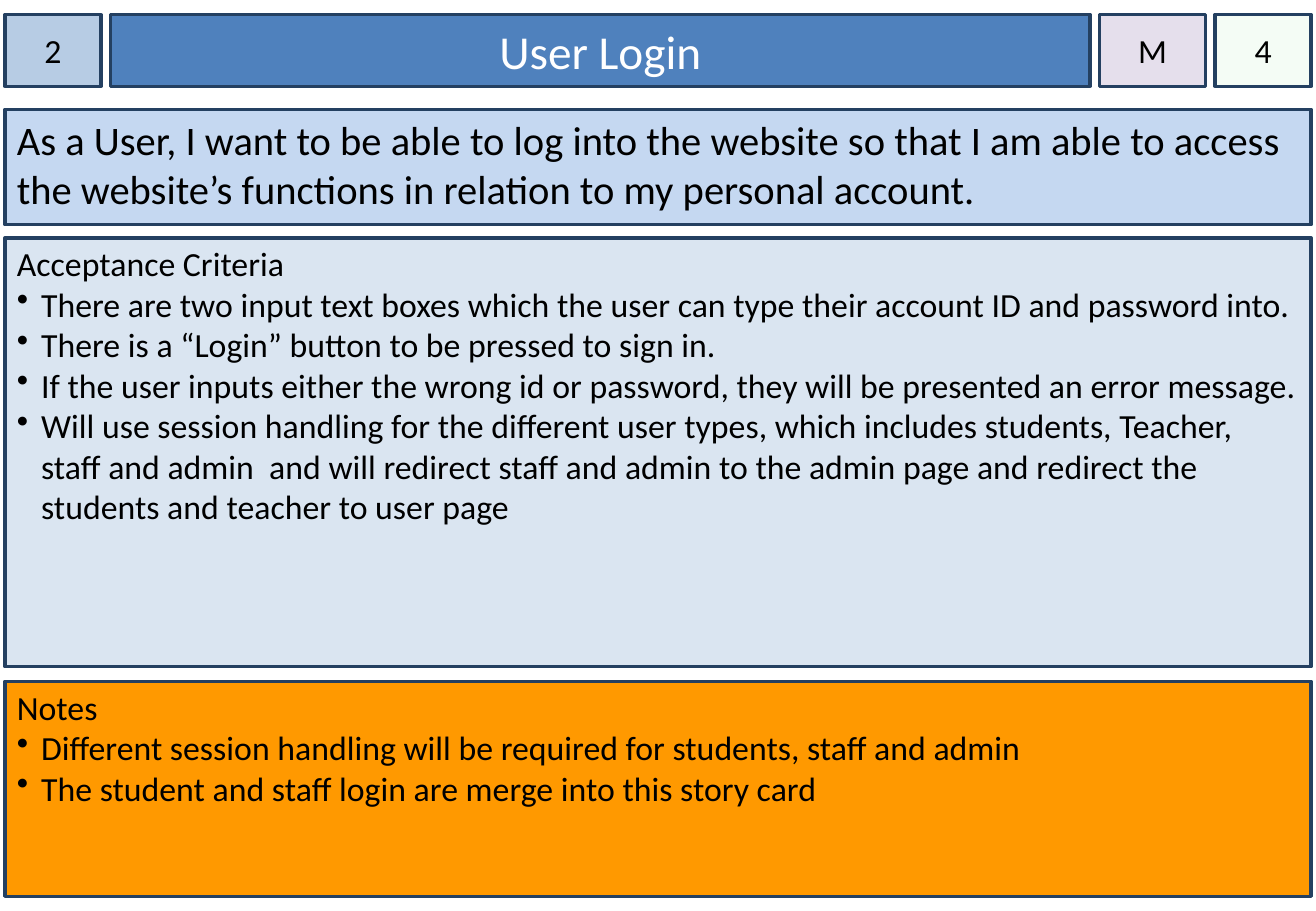
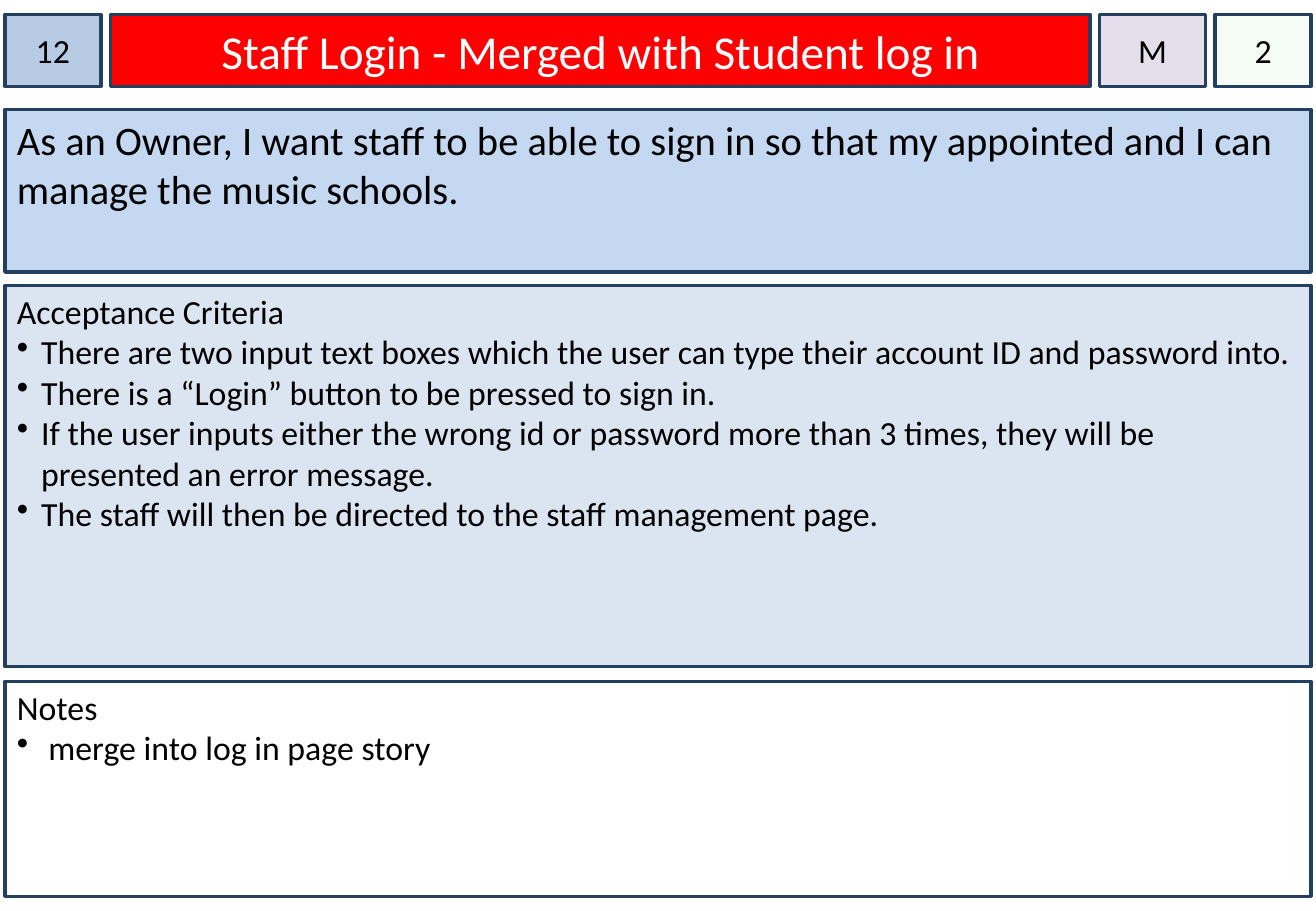
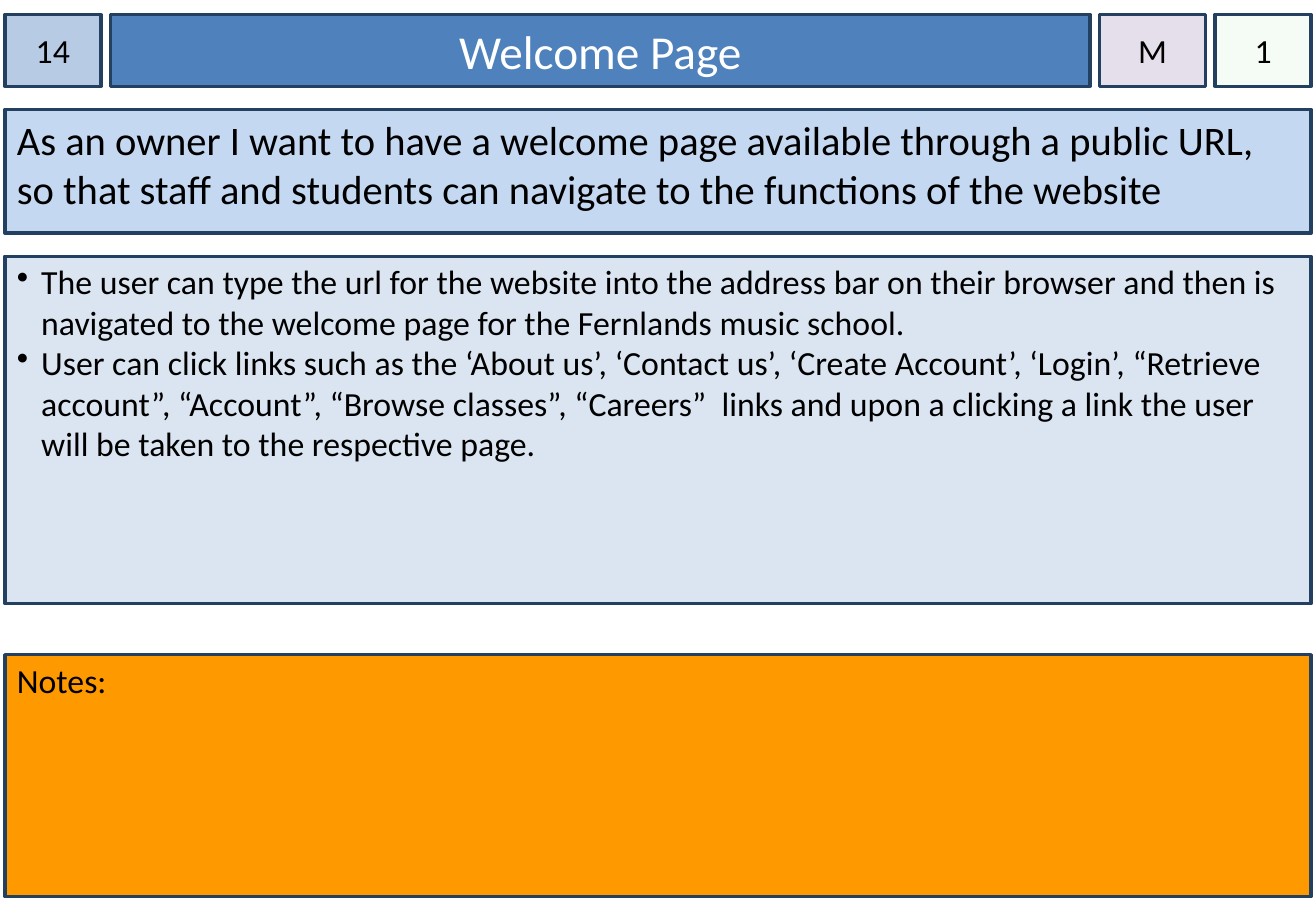
"""Build three user story cards that share one header, story, criteria and remarks design."""
from dataclasses import dataclass
from itertools import accumulate

from lxml.etree import SubElement
from pptx import Presentation
from pptx.dml.color import RGBColor
from pptx.enum.shapes import MSO_SHAPE
from pptx.enum.text import MSO_ANCHOR, MSO_AUTO_SIZE, PP_ALIGN
from pptx.oxml.ns import qn
from pptx.util import Inches, Pt

COLORS = {
    "border": "244061",
    "text": "000000",
    "title_text": "FFFFFF",
    "open": "4F81BD",
    "merged": "FF0000",
    "number": "B7CCE4",
    "priority": "E5DFEC",
    "estimate": "CCF0CD",
    "story": "C5D8F1",
    "criteria": "DAE5F1",
    "remarks": "FF9900",
    "plain_remarks": "FFFFFF",
}
FONT = "Calibri"
SLIDE_WIDTH, SLIDE_HEIGHT = 10.83, 7.5
MARGIN, GAP = 0.04, 0.08
CARD_WIDTH = SLIDE_WIDTH - 2 * MARGIN
HEADER_TOP, HEADER_HEIGHT = 0.12, 0.59
STORY_TOP, REMARKS_BOTTOM = 0.9, 7.38
NUMBER_WIDTH, PRIORITY_WIDTH = 0.79, 0.87
TITLE_WIDTH = CARD_WIDTH - 2 * NUMBER_WIDTH - PRIORITY_WIDTH - 3 * GAP
HEADER_WIDTHS = [NUMBER_WIDTH, TITLE_WIDTH, PRIORITY_WIDTH, NUMBER_WIDTH]
HEADER_LEFTS = list(accumulate((w + GAP for w in HEADER_WIDTHS[:-1]), initial=MARGIN))


@dataclass
class StoryCard:
    """The wording of one card and the edges of its rows."""
    number: str
    title: str
    estimate: str
    story: str
    criteria: list
    remarks: list
    story_bottom: float
    criteria_top: float
    criteria_bottom: float = 5.49
    remarks_top: float = 5.61
    criteria_heading: str = "Acceptance Criteria"
    remarks_heading: str = "Notes"
    title_fill: str = "open"
    remarks_fill: str = "remarks"
    remarks_indent: float = 0.2


CARDS = [
    StoryCard(
        number="2",
        title="User Login",
        estimate="4",
        story="As a User, I want to be able to log into the website so that I am able to access "
              "the website’s functions in relation to my personal account.",
        criteria=[
            "There are two input text boxes which the user can type their account ID and password into.",
            "There is a “Login” button to be pressed to sign in.",
            "If the user inputs either the wrong id or password, they will be presented an error message.",
            "Will use session handling for the different user types, which includes students, Teacher, "
            "staff and admin  and will redirect staff and admin to the admin page and redirect the "
            "students and teacher to user page",
        ],
        remarks=[
            "Different session handling will be required for students, staff and admin",
            "The student and staff login are merge into this story card",
        ],
        story_bottom=1.85,
        criteria_top=1.96,
    ),
    StoryCard(
        number="12",
        title="Staff Login - Merged with Student log in",
        estimate="2",
        story="As an Owner, I want staff to be able to sign in so that my appointed and I can "
              "manage the music schools.",
        criteria=[
            "There are two input text boxes which the user can type their account ID and password into.",
            "There is a “Login” button to be pressed to sign in.",
            "If the user inputs either the wrong id or password more than 3 times, they will be "
            "presented an error message.",
            "The staff will then be directed to the staff management page.",
        ],
        remarks=["merge into log in page story"],
        story_bottom=2.24,
        criteria_top=2.35,
        title_fill="merged",
        remarks_fill="plain_remarks",
        remarks_indent=0.26,
    ),
    StoryCard(
        number="14",
        title="Welcome Page",
        estimate="1",
        story="As an owner I want to have a welcome page available through a public URL, so that "
              "staff and students can navigate to the functions of the website",
        criteria=[
            "The user can type the url for the website into the address bar on their browser and then is "
            "navigated to the welcome page for the Fernlands music school.",
            "User can click links such as the ‘About us’, ‘Contact us’, ‘Create Account’, ‘Login’, "
            "“Retrieve account”, “Account”, “Browse classes”, “Careers”  links and upon a clicking a "
            "link the user will be taken to the respective page.",
        ],
        remarks=[],
        story_bottom=1.92,
        criteria_top=2.11,
        criteria_bottom=4.97,
        remarks_top=5.39,
        criteria_heading="",
        remarks_heading="Notes:",
    ),
]


def rgb(name):
    """Return the named colour."""
    return RGBColor.from_string(COLORS[name])


def style_panel(panel, fill, side_inset=0.1, top_inset=0.05, anchor=MSO_ANCHOR.TOP):
    """Give a panel its fill, border and text margins."""
    panel.fill.solid()
    panel.fill.fore_color.rgb = rgb(fill)
    panel.line.color.rgb = rgb("border")
    panel.line.width = Pt(2)
    frame = panel.text_frame
    frame.word_wrap = True
    frame.auto_size = MSO_AUTO_SIZE.NONE
    frame.vertical_anchor = anchor
    frame.margin_left = frame.margin_right = Inches(side_inset)
    frame.margin_top, frame.margin_bottom = Inches(top_inset), Inches(0.05)


def add_panel(slide, left, top, width, height, fill, **style):
    """Add a bordered rectangle."""
    panel = slide.shapes.add_shape(
        MSO_SHAPE.RECTANGLE, Inches(left), Inches(top), Inches(width), Inches(height))
    panel.shadow.inherit = False
    style_panel(panel, fill, **style)
    return panel


def write(paragraph, text, size, color="text", align=PP_ALIGN.LEFT):
    """Fill a paragraph with text in the shared font."""
    paragraph.text = text
    paragraph.alignment = align
    paragraph.font.name = FONT
    paragraph.font.size = Pt(size)
    paragraph.font.color.rgb = rgb(color)


def add_bullet(paragraph, indent):
    """Put a bullet on a paragraph with a hanging indent."""
    properties = paragraph._p.get_or_add_pPr()
    properties.set("marL", str(Inches(indent)))
    properties.set("indent", str(-Inches(indent)))
    bullet_color = SubElement(properties, qn("a:buClr"))
    SubElement(bullet_color, qn("a:srgbClr"), val=COLORS["text"])
    SubElement(properties, qn("a:buChar"), char="•")


def add_header_cell(slide, column, text, fill):
    """Add a small centred cell in a header column."""
    cell = add_panel(slide, HEADER_LEFTS[column], HEADER_TOP, HEADER_WIDTHS[column],
                     HEADER_HEIGHT, fill, side_inset=0, anchor=MSO_ANCHOR.MIDDLE)
    write(cell.text_frame.paragraphs[0], text, 20, align=PP_ALIGN.CENTER)
    return cell


def place_title(slide, text, fill):
    """Turn the title placeholder into the header band."""
    title = slide.shapes.title
    title.left, title.top = Inches(HEADER_LEFTS[1]), Inches(HEADER_TOP)
    title.width, title.height = Inches(TITLE_WIDTH), Inches(HEADER_HEIGHT)
    style_panel(title, fill, anchor=MSO_ANCHOR.MIDDLE)
    write(title.text_frame.paragraphs[0], text, 28, "title_text", PP_ALIGN.CENTER)


def add_row(slide, top, bottom, fill, **style):
    """Add a panel across the whole card and return its text frame."""
    return add_panel(slide, MARGIN, top, CARD_WIDTH, bottom - top, fill, **style).text_frame


def add_list_row(slide, top, bottom, fill, heading, items, indent=0.2):
    """Add a row with an optional heading above a bulleted list."""
    frame = add_row(slide, top, bottom, fill, top_inset=0.04)
    lines = ([(heading, False)] if heading else []) + [(item, True) for item in items]
    for index, (text, bulleted) in enumerate(lines):
        paragraph = frame.add_paragraph() if index else frame.paragraphs[0]
        if bulleted:
            add_bullet(paragraph, indent)
        write(paragraph, text, 20)


def make_translucent(panel, percent):
    """Set the opacity of a panel's fill."""
    fill_color = panel._element.spPr.find(qn("a:solidFill")).find(qn("a:srgbClr"))
    SubElement(fill_color, qn("a:alpha"), val=str(percent * 1000))


def add_card(deck, card):
    """Add one story card slide."""
    slide = deck.slides.add_slide(deck.slide_layouts.get_by_name("Title Only"))
    place_title(slide, card.title, card.title_fill)
    add_header_cell(slide, 0, card.number, "number")
    add_header_cell(slide, 2, "M", "priority")
    make_translucent(add_header_cell(slide, 3, card.estimate, "estimate"), 20)
    story = add_row(slide, STORY_TOP, card.story_bottom, "story")
    write(story.paragraphs[0], card.story, 24)
    add_list_row(slide, card.criteria_top, card.criteria_bottom, "criteria",
                 card.criteria_heading, card.criteria)
    add_list_row(slide, card.remarks_top, REMARKS_BOTTOM, card.remarks_fill,
                 card.remarks_heading, card.remarks, card.remarks_indent)


def main():
    """Build and save the deck."""
    deck = Presentation()
    deck.slide_width, deck.slide_height = Inches(SLIDE_WIDTH), Inches(SLIDE_HEIGHT)
    for card in CARDS:
        add_card(deck, card)
    deck.save("out.pptx")


if __name__ == "__main__":
    main()
